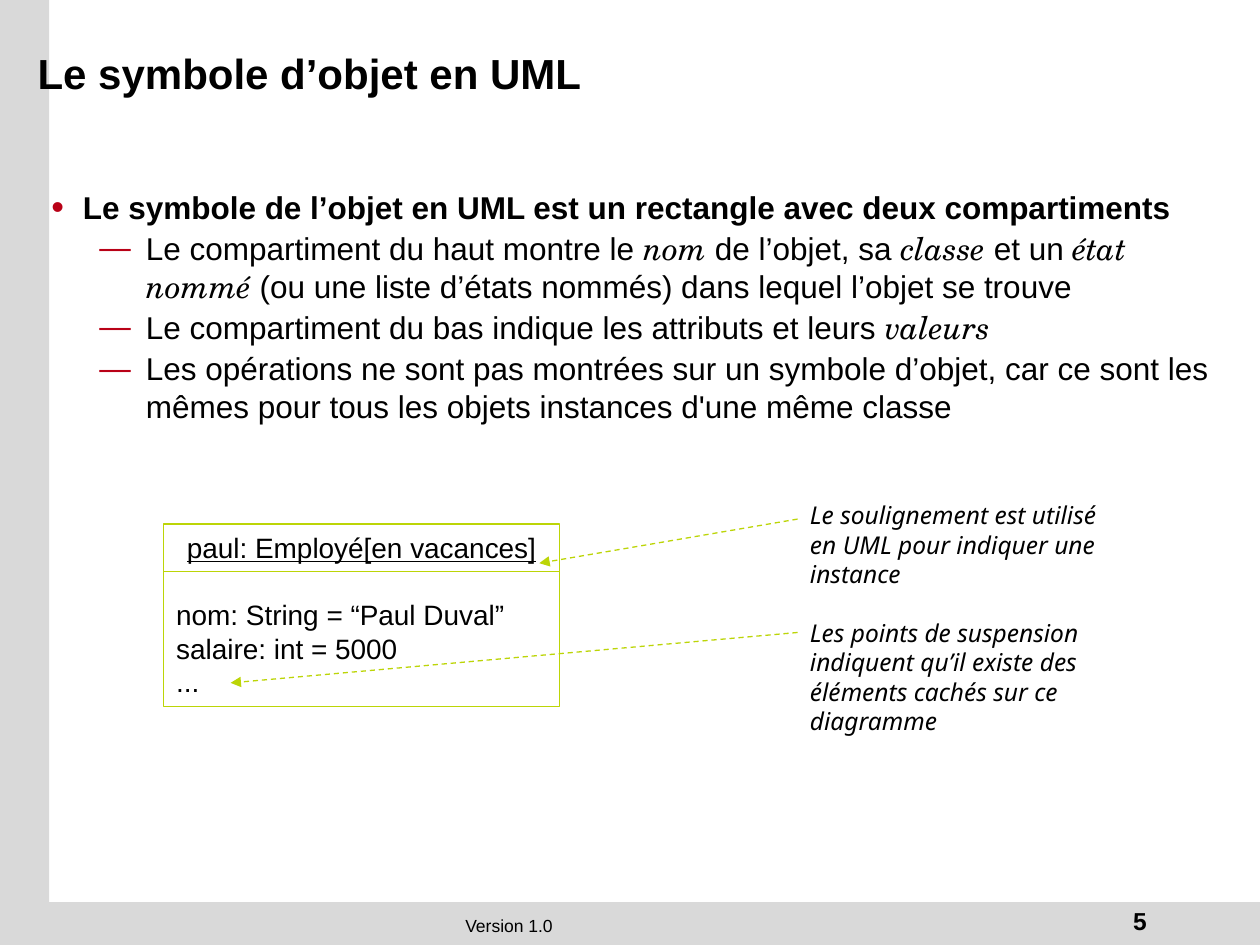
import pptx
import pptx.util
import pptx.dml.color
import pptx.enum.dml
import pptx.enum.shapes
import pptx.enum.text
import pptx.oxml.ns
from lxml import etree

Pt = pptx.util.Pt
ALIGN = pptx.enum.text.PP_ALIGN
ANCHOR = pptx.enum.text.MSO_ANCHOR
SHAPE = pptx.enum.shapes.MSO_SHAPE
COLORS = {"band": "D9D9D9", "text": "000000", "bullet": "B90117", "uml": "BCD507"}
COLS, ROWS = 100, 75
CELL = pptx.util.Inches(0.1)
LEADING = 1.2


def grid(*values):
    return [round(v * CELL) for v in values]


def rgb(name):
    return pptx.dml.color.RGBColor.from_string(COLORS[name])


def sub(parent, tag, **attrs):
    return etree.SubElement(parent, pptx.oxml.ns.qn(tag), attrs)


def add_run(p, text, **formats):
    r = p.add_run()
    r.text = text
    r.font.color.rgb = rgb("text")
    for name, value in ({"name": "Arial"} | formats).items():
        setattr(r.font, name, value)


def format_paragraph(p, size, align=ALIGN.LEFT, before=0):
    formats = {"alignment": align, "space_before": Pt(before),
               "line_spacing": Pt(LEADING * size)}
    for name, value in formats.items():
        setattr(p, name, value)


def next_paragraph(tf):
    """Return the empty first paragraph, or else a new one."""
    first = tf.paragraphs[0]
    return tf.add_paragraph() if first.runs else first


def add_text(s, box, text="", align=ALIGN.LEFT, anchor=ANCHOR.TOP, **formats):
    tf = s.shapes.add_textbox(*grid(*box)).text_frame
    tf.word_wrap = True
    tf.vertical_anchor = anchor
    if text:
        p = tf.paragraphs[0]
        p.alignment = align
        add_run(p, text, **formats)
    return tf


def add_rect(shapes, box, fill=None, line=None):
    sp = shapes.add_shape(SHAPE.RECTANGLE, *grid(*box))
    sp.shadow.inherit = False
    if fill:
        sp.fill.solid()
        sp.fill.fore_color.rgb = rgb(fill)
    else:
        sp.fill.background()
    if line:
        sp.line.color.rgb = rgb(line)
        sp.line.width = Pt(0.75)
    else:
        sp.line.fill.background()
    return sp


def add_line(shapes, start, end, arrow=False):
    line = shapes.add_connector(pptx.enum.shapes.MSO_CONNECTOR.STRAIGHT,
                                *grid(*start, *end))
    line.line.color.rgb = rgb("uml")
    line.line.width = Pt(0.75)
    if arrow:
        line.line.dash_style = pptx.enum.dml.MSO_LINE.DASH
        sub(line.line._get_or_add_ln(), "a:tailEnd", type="triangle")
    sub(line._element.spPr, "a:effectLst")


def add_bands(s, side, foot):
    add_rect(s.shapes, (0, 0, side, ROWS), "band")
    add_rect(s.shapes, (0, ROWS - foot, COLS, foot), "band")


def add_bullet(p, char, margin, indent, percent):
    pPr = p._p.get_or_add_pPr()
    left, hang = grid(margin, indent)
    pPr.set("marL", str(left))
    pPr.set("indent", str(-hang))
    sub(sub(pPr, "a:buClr"), "a:srgbClr", val=COLORS["bullet"])
    sub(pPr, "a:buSzPct", val=str(percent * 1000))
    sub(pPr, "a:buFont", typeface="Arial")
    sub(pPr, "a:buChar", char=char)


def add_body(s, box, heading, items, size=18):
    """Place a bold heading and dashed items; *starred* words are emphasised."""
    tf = add_text(s, box)
    p = next_paragraph(tf)
    format_paragraph(p, size)
    add_bullet(p, "•", 2.5, 2.5, 115)
    add_run(p, heading, size=Pt(size), bold=True)
    for item in items:
        p = next_paragraph(tf)
        p.level = 1
        format_paragraph(p, size, before=2)
        add_bullet(p, "—", 7.5, 3.7, 100)
        for i, part in enumerate(item.split("*")):
            if part:
                emphasis = {"name": "TeX Gyre Schola", "italic": True} if i % 2 else {}
                add_run(p, part, size=Pt(size), **emphasis)


def add_object_symbol(s, box, name, attributes, size=16):
    """Draw a UML object: underlined name above a line, attributes below."""
    left, top, width, height = box
    group = s.shapes.add_group_shape()
    tf = add_rect(group.shapes, box, line="uml").text_frame
    tf.word_wrap = True
    tf.vertical_anchor = ANCHOR.TOP
    p = next_paragraph(tf)
    format_paragraph(p, size, ALIGN.CENTER)
    add_run(p, name, size=Pt(size), underline=True)
    for i, attribute in enumerate(attributes):
        p = next_paragraph(tf)
        format_paragraph(p, size, before=0 if i else LEADING * size)
        add_run(p, attribute, size=Pt(size))
    middle = top + height * 0.26
    add_line(group.shapes, (left + width, middle), (left, middle))


def add_notes(s, box, notes, size=14):
    """Place italic comments, each with an arrow to its target."""
    tf = add_text(s, box)
    left, top = box[:2]
    for i, (text, drop, target) in enumerate(notes):
        p = next_paragraph(tf)
        format_paragraph(p, size, before=LEADING * size if i else 0)
        add_run(p, text, name="Noto Sans", size=Pt(size), italic=True)
        add_line(s.shapes, (left, top + drop), target, arrow=True)


def main():
    prs = pptx.Presentation()
    prs.slide_width, prs.slide_height = grid(COLS, ROWS)
    s = prs.slides.add_slide(prs.slide_layouts[6])
    add_bands(s, 3.9, 3.4)
    add_text(s, (1.1, 72.1, 78.6, 2.7), "Version 1.0", ALIGN.CENTER, size=Pt(10))
    add_text(s, (76.2, 71.4, 15.8, 3.3), "5", ALIGN.RIGHT, size=Pt(14), bold=True)
    add_text(s, (2, 1.8, 85.2, 7.9), "Le symbole d’objet en UML",
             anchor=ANCHOR.MIDDLE, size=Pt(24), bold=True)
    add_body(s, (3.1, 14.4, 94, 19.9),
             "Le symbole de l’objet en UML est un rectangle avec deux compartiments", [
                 "Le compartiment du haut montre le *nom* de l’objet, sa *classe* et un "
                 "*état nommé* (ou une liste d’états nommés) dans lequel l’objet se trouve",
                 "Le compartiment du bas indique les attributs et leurs *valeurs*",
                 "Les opérations ne sont pas montrées sur un symbole d’objet, car ce sont "
                 "les mêmes pour tous les objets instances d'une même classe"])
    add_object_symbol(s, (13, 41.6, 31.4, 14.5), "paul: Employé[en vacances]",
                      ["nom: String = “Paul Duval”", "salaire: int = 5000", "..."])
    add_notes(s, (63.3, 39.2, 25.8, 22.5), [
        ("Le soulignement est utilisé en UML pour indiquer une instance",
         2, (42.8, 44.7)),
        ("Les points de suspension indiquent qu’il existe des éléments cachés "
         "sur ce diagramme", 11, (18.3, 54.2))])
    prs.save("out.pptx")


if __name__ == "__main__":
    main()
